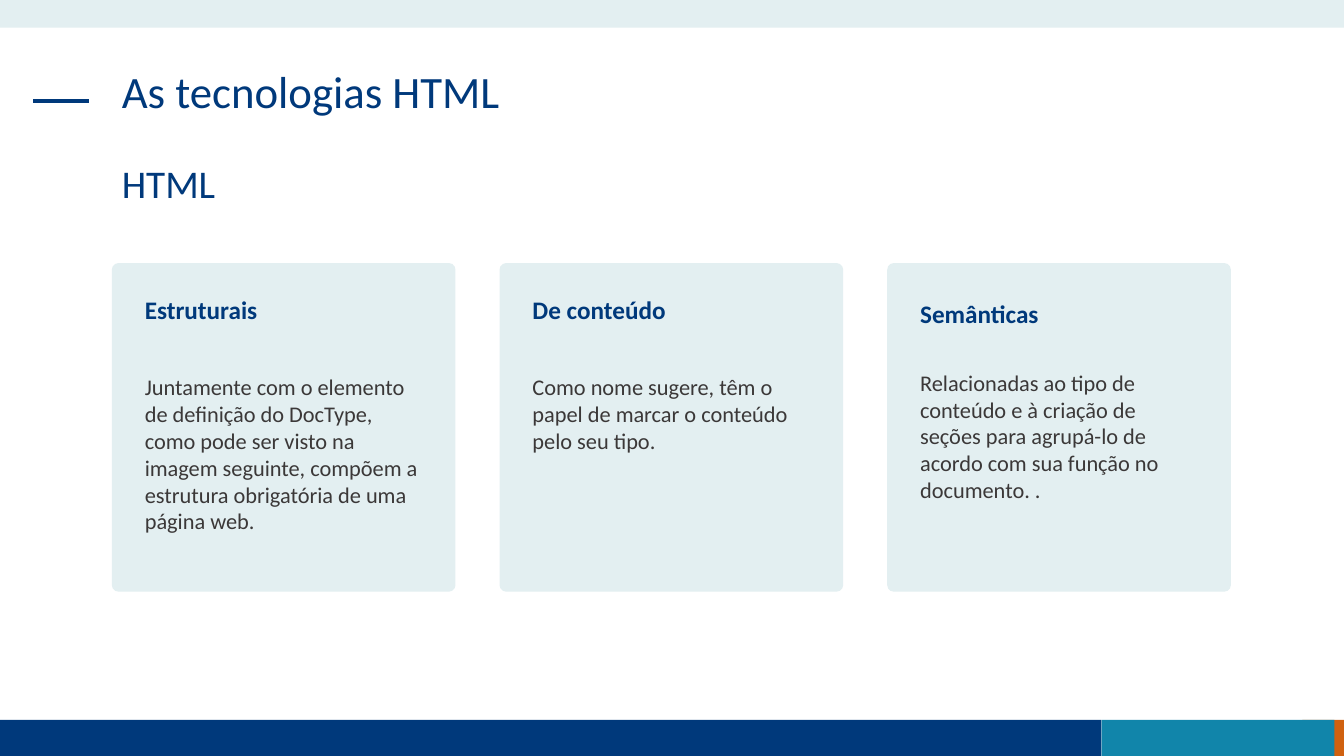
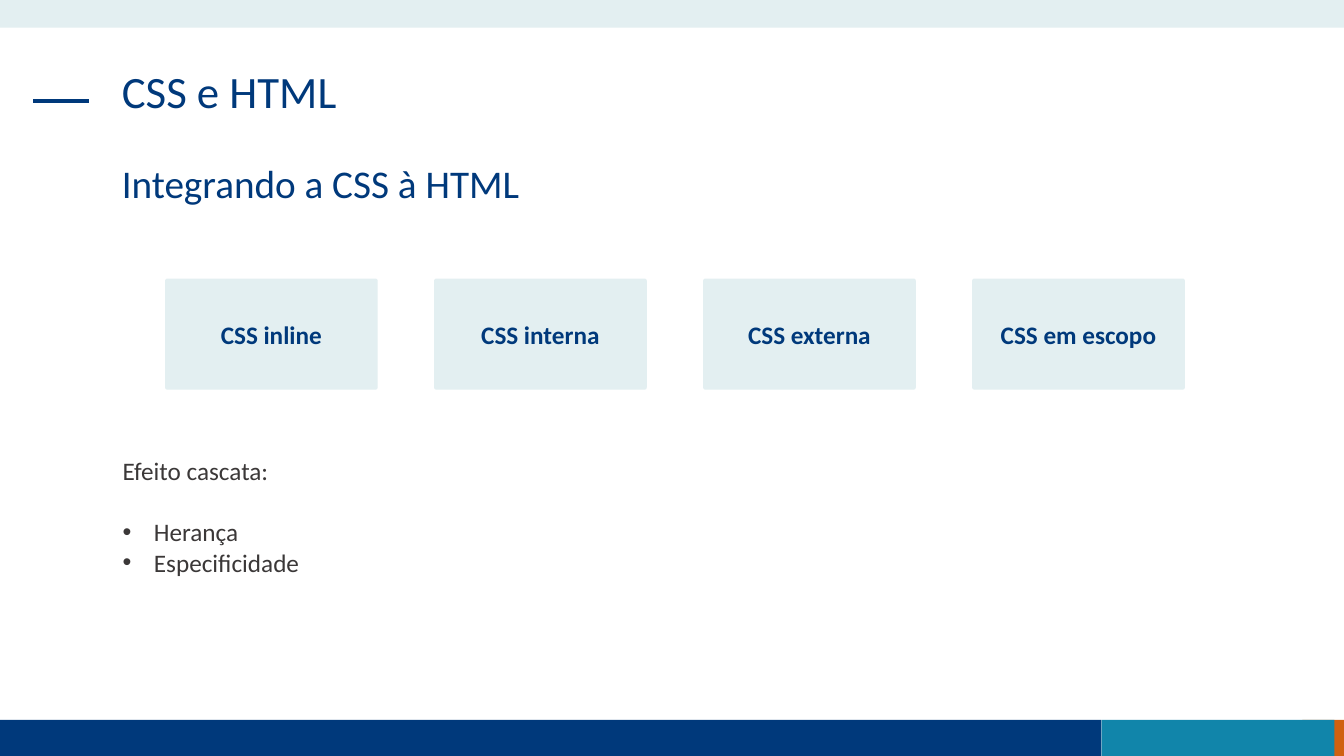
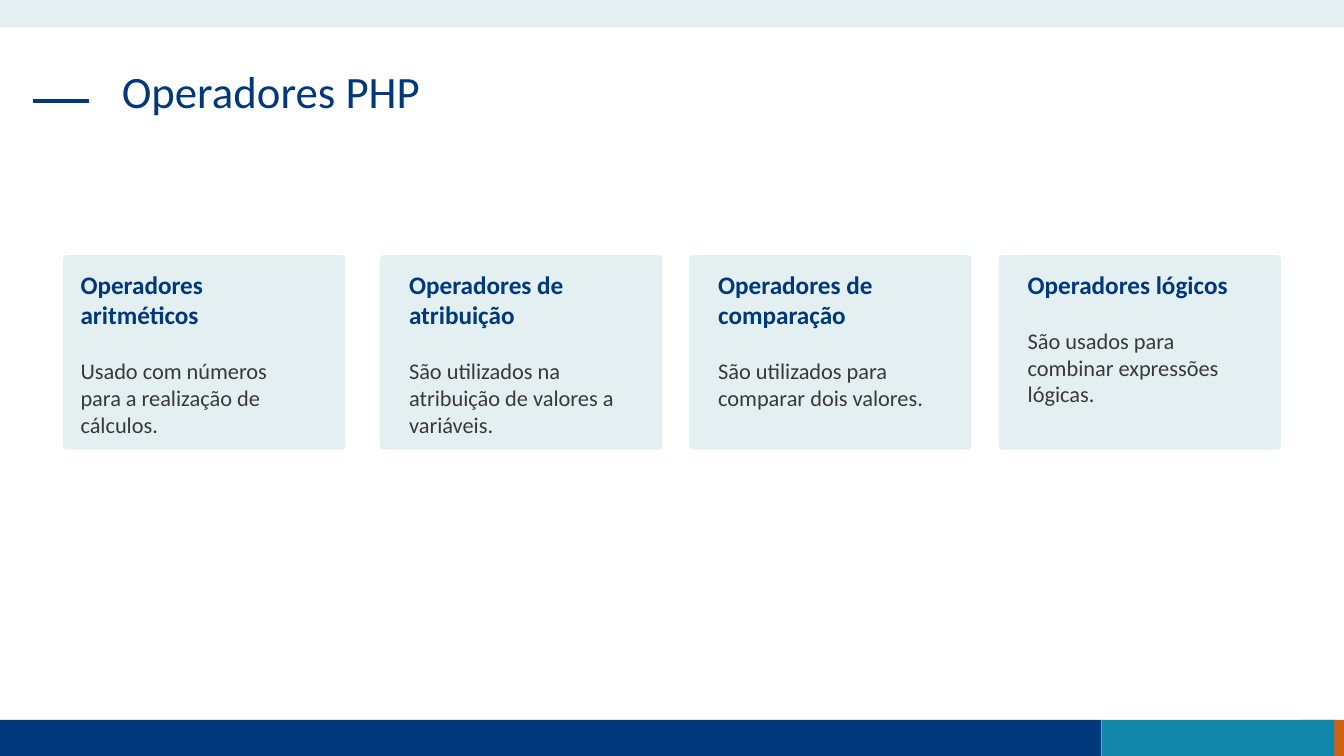
from lxml import etree
from pptx import Presentation
from pptx.dml.color import RGBColor
from pptx.enum.shapes import MSO_CONNECTOR, MSO_SHAPE
from pptx.enum.text import MSO_ANCHOR, PP_ALIGN
from pptx.oxml.ns import qn
from pptx.util import Cm, Pt

RECT, ROUND = MSO_SHAPE.RECTANGLE, MSO_SHAPE.ROUNDED_RECTANGLE
LINE = MSO_CONNECTOR.STRAIGHT
LEFT, CENTER = PP_ALIGN.LEFT, PP_ALIGN.CENTER
TOP, MIDDLE = MSO_ANCHOR.TOP, MSO_ANCHOR.MIDDLE

NAVY = RGBColor(0x00, 0x39, 0x7B)
TEAL = RGBColor(0x11, 0x85, 0xAA)
RUST = RGBColor(0xD0, 0x61, 0x10)
PALE = RGBColor(0xE3, 0xEF, 0xF1)
GRAY = RGBColor(0x3B, 0x38, 0x38)
FONT = "Calibri"

WIDE, HIGH = 33.87, 19.05
MARGIN = 2.82
FOOT = 0.91


def add_box(slide, kind, x, y, w, h, fill):
    shape = slide.shapes.add_shape(kind, Cm(x), Cm(y), Cm(w), Cm(h))
    shape.shadow.inherit = False
    shape.fill.solid()
    shape.fill.fore_color.rgb = fill
    shape.line.fill.background()
    if kind == ROUND:
        shape.adjustments[0] = 0.02
    return shape


def style(para, size, color, bold=False):
    para.font.name = FONT
    para.font.size = Pt(size)
    para.font.color.rgb = color
    para.font.bold = bold


def add_text(slide, x, y, w, h, text, size, color, bold=False):
    """Add a text box and return its frame."""
    box = slide.shapes.add_textbox(Cm(x), Cm(y), Cm(w), Cm(h))
    frame = box.text_frame
    frame.word_wrap = True
    frame.text = text
    style(frame.paragraphs[0], size, color, bold)
    return frame


def add_bullet(para):
    props = para._p.get_or_add_pPr()
    indent = Cm(0.79)
    props.set("marL", str(indent))
    props.set("indent", str(-indent))
    etree.SubElement(props, qn("a:buFont")).set("typeface", "Arial")
    etree.SubElement(props, qn("a:buChar")).set("char", "•")


def add_base(deck, title, subtitle=None):
    """Start a slide with the shared bands, title rule and headings."""
    slide = deck.slides.add_slide(deck.slide_layouts[6])
    foot = HIGH - FOOT
    for x, w, fill in ((32.82, 1.05, RUST), (0, 27.76, NAVY),
                       (27.76, 5.87, TEAL)):
        add_box(slide, RECT, x, foot, w, FOOT, fill)
    add_box(slide, RECT, 0, 0, WIDE, 0.7, PALE)
    rule = slide.shapes.add_connector(LINE, Cm(0.84), Cm(2.54),
                                      Cm(2.24), Cm(2.54))
    rule.line.color.rgb = NAVY
    rule.line.width = Pt(3)
    etree.SubElement(rule._element.spPr, qn("a:effectLst"))
    for text, y, size in ((title, 1.63, 32), (subtitle, 4.03, 28)):
        if text:
            frame = add_text(slide, MARGIN, y, 28.2, 2.4, text, size, NAVY)
            frame.paragraphs[0].line_spacing = 0.9
    return slide


def add_card(slide, x, y, w, h, head, body, head_y, body_y):
    """Add a card whose head and body are separate boxes."""
    add_box(slide, ROUND, x, y, w, h, PALE)
    pad = 0.58
    inner = w - 2 * pad
    add_text(slide, x + pad, y + head_y, inner, 1.02, head, 18, NAVY, True)
    add_text(slide, x + pad, y + body_y, inner, 4.37, body, 16, GRAY)


def add_label(slide, x, y, w, h, text):
    shape = add_box(slide, ROUND, x, y, w, h, PALE)
    frame = shape.text_frame
    frame.vertical_anchor = MIDDLE
    frame.text = text
    para = frame.paragraphs[0]
    para.alignment = CENTER
    style(para, 18, NAVY, True)


def add_list(slide, x, y, w, h, lead, items):
    frame = add_text(slide, x, y, w, h, lead, 18, GRAY)
    frame.vertical_anchor = MIDDLE
    for i, item in enumerate(items):
        para = frame.add_paragraph()
        para.text = item
        add_bullet(para)
        if i == 0:
            para.space_before = Pt(22)
        style(para, 18, GRAY)


def add_note(slide, x, y, w, h, head, body, pad):
    """Add a card whose head and body share one box."""
    add_box(slide, ROUND, x, y, w, h, PALE)
    frame = add_text(slide, x + pad, y + 0.23, 6.17, h - 0.4,
                     head, 18, NAVY, True)
    para = frame.add_paragraph()
    para.text = body
    para.space_before = Pt(19.5)
    style(para, 16, GRAY)


def build_html(deck):
    slide = add_base(deck, "As tecnologias HTML", "HTML")
    cards = (
        ("Estruturais", "Juntamente com o elemento de definição do DocType, "
         "como pode ser visto na imagem seguinte, compõem a estrutura "
         "obrigatória de uma página web.", 0.66, 2.65),
        ("De conteúdo", "Como nome sugere, têm o papel de marcar o conteúdo "
         "pelo seu tipo.", 0.66, 2.65),
        ("Semânticas", "Relacionadas ao tipo de conteúdo e à criação de "
         "seções para agrupá-lo de acordo com sua função no documento. .",
         0.76, 2.54),
    )
    for i, card in enumerate(cards):
        add_card(slide, MARGIN + 9.77 * i, 6.63, 8.66, 8.28, *card)


def build_css(deck):
    slide = add_base(deck, "CSS e HTML", "Integrando a CSS à HTML")
    labels = ("CSS inline", "CSS interna", "CSS externa", "CSS em escopo")
    for i, label in enumerate(labels):
        add_label(slide, 4.16 + 6.78 * i, 7.02, 5.36, 2.8, label)
    add_list(slide, 2.84, 11.35, 27.33, 3.33, "Efeito cascata:",
             ("Herança", "Especificidade"))


def build_php(deck):
    slide = add_base(deck, "Operadores PHP")
    notes = (
        (1.59, "Operadores aritméticos",
         "Usado com números para a realização de cálculos.", 0.19),
        (9.58, "Operadores de atribuição",
         "São utilizados na atribuição de valores a variáveis.", 0.48),
        (17.37, "Operadores de comparação",
         "São utilizados para comparar dois valores.", 0.48),
        (25.17, "Operadores lógicos",
         "São usados para combinar expressões lógicas.", 0.48),
    )
    for x, head, body, pad in notes:
        add_note(slide, x, 6.43, 7.11, 4.9, head, body, pad)


def main():
    deck = Presentation()
    deck.slide_width, deck.slide_height = Cm(WIDE), Cm(HIGH)
    for build in (build_html, build_css, build_php):
        build(deck)
    deck.save("out.pptx")


if __name__ == "__main__":
    main()
